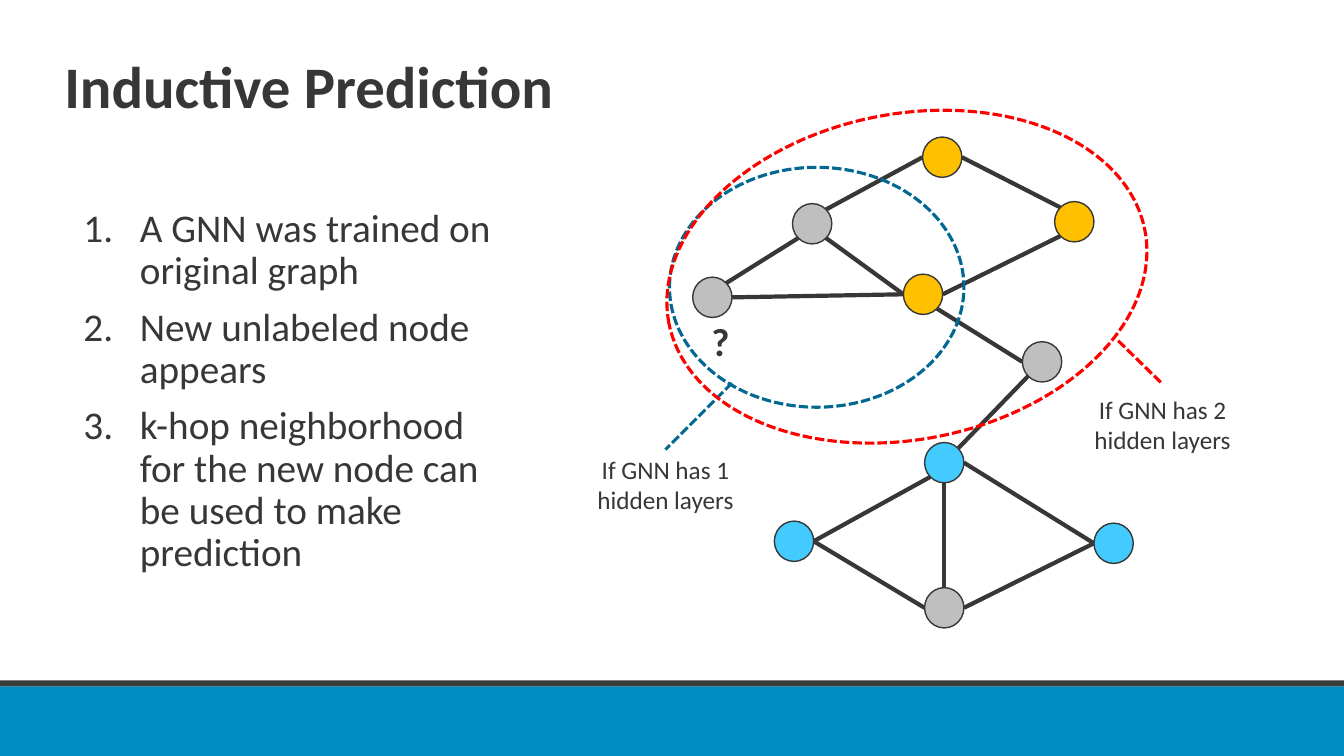
from dataclasses import dataclass
from math import cos, radians, sin

from lxml.etree import SubElement
from pptx import Presentation
from pptx.dml.color import RGBColor
from pptx.enum.dml import MSO_LINE
from pptx.enum.shapes import MSO_CONNECTOR, MSO_SHAPE
from pptx.enum.text import PP_ALIGN
from pptx.oxml.ns import qn
from pptx.util import Inches, Pt


@dataclass(frozen=True)
class Theme:
    font: str = "Calibri"
    ink: str = "373737"
    band: str = "008DC4"
    band_edge: str = "383D3B"
    gray: str = "BFBFBF"
    orange: str = "FFC000"
    blue: str = "43CAFF"
    one_hop: str = "006891"
    two_hop: str = "FF0000"
    title_size: float = 42
    body_size: float = 28
    label_size: float = 18
    node_line: float = 1
    edge_line: float = 3
    hop_line: float = 2.25


THEME = Theme()
NODE_WIDTH, NODE_HEIGHT = 0.39, 0.4

NODES = {
    "left": (7.68, 5.17, THEME.blue),
    "hub": (7.86, 2.02, THEME.gray),
    "center": (8.96, 2.72, THEME.orange),
    "top": (9.15, 1.36, THEME.orange),
    "far": (10.46, 2.0, THEME.orange),
    "bottom": (9.17, 5.83, THEME.gray),
    "right": (10.85, 5.19, THEME.blue),
    "junction": (9.17, 4.39, THEME.blue),
    "bridge": (10.14, 3.39, THEME.gray),
    "new": (6.87, 2.75, THEME.gray),
}

SITE_ANGLES = {"E": 0, "SE": 45, "S": 90, "SW": 135, "W": 180, "NW": 225, "N": 270, "NE": 315}

EDGES = [
    ("top", "W", "hub", "NE"),
    ("center", "W", "hub", "SE"),
    ("top", "E", "far", "NW"),
    ("far", "SW", "center", "E"),
    ("bridge", "W", "center", "SE"),
    ("bridge", "SW", "junction", "NE"),
    ("junction", "SW", "left", "E"),
    ("junction", "E", "right", "W"),
    ("bottom", "W", "left", "E"),
    ("right", "W", "bottom", "E"),
    ("junction", "S", "bottom", "N"),
    ("hub", "SW", "new", "NE"),
    ("center", "W", "new", "E"),
]

STEPS = [
    "A GNN was trained on original graph",
    "New unlabeled node appears",
    "k-hop neighborhood for the new node can be used to make prediction",
]


def color(value):
    return RGBColor.from_string(value)


def inches(*lengths):
    return [Inches(length) for length in lengths]


def style_line(line, line_color, width, dashed=False):
    line.color.rgb = color(line_color)
    line.width = Pt(width)
    if dashed:
        line.dash_style = MSO_LINE.SQUARE_DOT


def add_filled(slide, kind, box, fill):
    shape = slide.shapes.add_shape(kind, *inches(*box))
    shape.shadow.inherit = False
    shape.fill.solid()
    shape.fill.fore_color.rgb = color(fill)
    shape.line.fill.background()
    return shape


def add_node(slide, left, top, fill):
    node = add_filled(slide, MSO_SHAPE.OVAL, (left, top, NODE_WIDTH, NODE_HEIGHT), fill)
    style_line(node.line, THEME.ink, THEME.node_line)


def add_hop_outline(slide, box, line_color, rotation=0):
    outline = slide.shapes.add_shape(MSO_SHAPE.OVAL, *inches(*box))
    outline.shadow.inherit = False
    outline.fill.background()
    outline.rotation = rotation
    style_line(outline.line, line_color, THEME.hop_line, dashed=True)


def add_line(slide, start, end, line_color, width, dashed=False):
    connector = slide.shapes.add_connector(MSO_CONNECTOR.STRAIGHT, *inches(*start, *end))
    style_line(connector.line, line_color, width, dashed)
    SubElement(connector._element.spPr, qn("a:effectLst"))


def node_site(name, site):
    left, top, _ = NODES[name]
    angle = radians(SITE_ANGLES[site])
    return (
        left + NODE_WIDTH / 2 * (1 + cos(angle)),
        top + NODE_HEIGHT / 2 * (1 + sin(angle)),
    )


def number_paragraph(paragraph, indent):
    properties = paragraph._p.get_or_add_pPr()
    properties.set("marL", str(Inches(indent)))
    properties.set("indent", str(-Inches(indent)))
    SubElement(properties, qn("a:buFont"), typeface="+mj-lt")
    SubElement(properties, qn("a:buAutoNum"), type="arabicPeriod")


def add_text(slide, box, *texts, size, bold=False, align=PP_ALIGN.LEFT,
             line_spacing=None, space_before=0, number_indent=None):
    frame = slide.shapes.add_textbox(*inches(*box)).text_frame
    frame.word_wrap = True
    for index, text in enumerate(texts):
        paragraph = frame.add_paragraph() if index else frame.paragraphs[0]
        paragraph.text = text
        paragraph.alignment = align
        paragraph.line_spacing = line_spacing
        if index:
            paragraph.space_before = Pt(space_before)
        if number_indent:
            number_paragraph(paragraph, number_indent)
        font = paragraph.font
        font.name = THEME.font
        font.size = Pt(size)
        font.bold = bold
        font.color.rgb = color(THEME.ink)


def add_graph(slide):
    for start, start_site, end, end_site in EDGES:
        add_line(slide, node_site(start, start_site), node_site(end, end_site),
                 THEME.ink, THEME.edge_line)
    for node in NODES.values():
        add_node(slide, *node)
    add_text(slide, (6.76, 3.1, 0.77, 0.57), "?", size=THEME.body_size,
             bold=True, align=PP_ALIGN.CENTER)


def add_neighborhood(slide, outline, rotation, label, label_at, start, end, line_color):
    add_hop_outline(slide, outline, line_color, rotation)
    add_text(slide, (*label_at, 2.08, 0.71), label, size=THEME.label_size,
             align=PP_ALIGN.CENTER)
    add_line(slide, start, end, line_color, THEME.hop_line, dashed=True)


def main():
    presentation = Presentation()
    presentation.slide_width = Inches(13.33)
    presentation.slide_height = Inches(7.5)
    slide = presentation.slides.add_slide(presentation.slide_layouts[6])

    add_filled(slide, MSO_SHAPE.RECTANGLE, (0, 6.81, 13.33, 0.69), THEME.band)
    add_filled(slide, MSO_SHAPE.RECTANGLE, (0, 6.75, 13.33, 0.06), THEME.band_edge)
    add_text(slide, (0.54, 0.52, 11.5, 1.09), "Inductive Prediction",
             size=THEME.title_size, bold=True, line_spacing=0.9)
    add_text(slide, (0.73, 2.02, 4.43, 3.73), *STEPS, size=THEME.body_size,
             line_spacing=0.9, space_before=10, number_indent=0.56)
    add_graph(slide)
    add_neighborhood(slide, (6.64, 1.66, 2.92, 2.38), 0, "If GNN has 1 hidden layers",
                     (5.56, 4.46), (7.26, 3.8), (6.6, 4.46), THEME.one_hop)
    add_neighborhood(slide, (6.59, 1.13, 4.81, 3.23), 348.9, "If GNN has 2 hidden layers",
                     (10.49, 3.86), (11.09, 3.38), (11.52, 3.8), THEME.two_hop)

    presentation.save("out.pptx")


if __name__ == "__main__":
    main()
